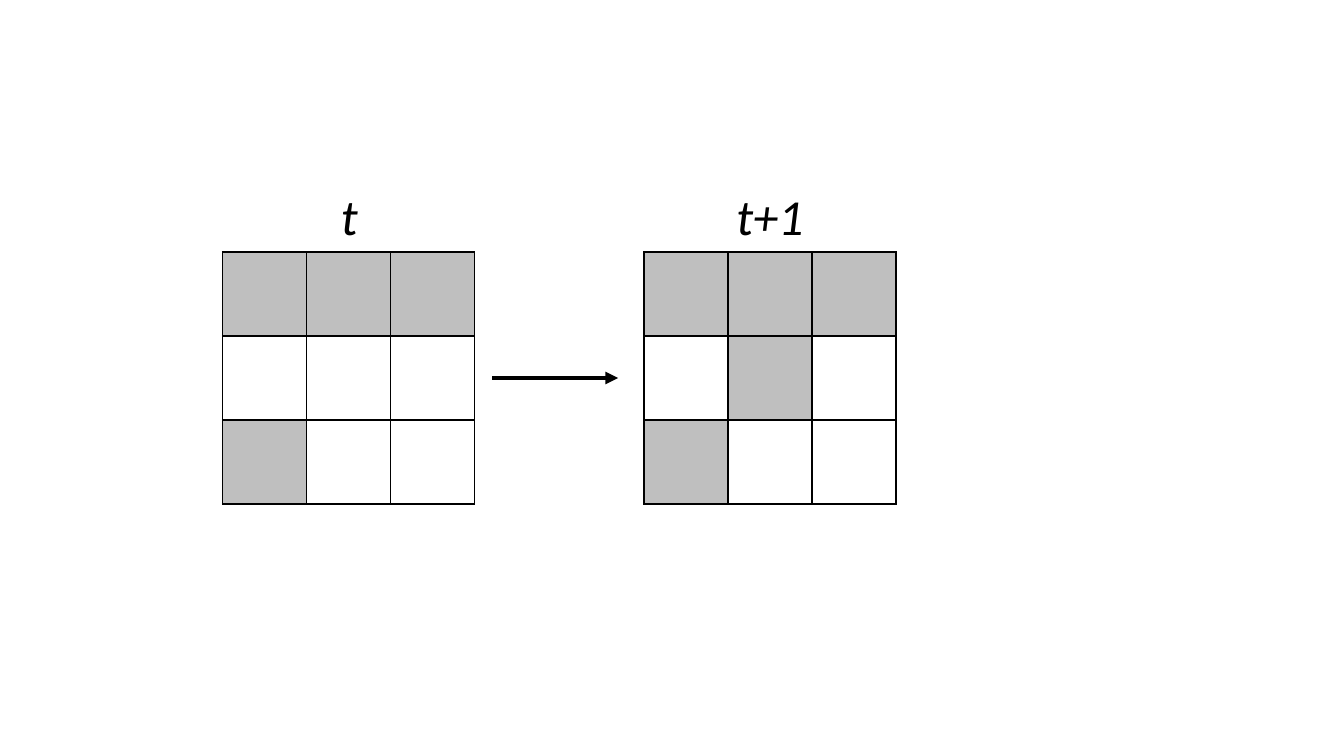
from lxml import etree
from pptx import Presentation
from pptx.dml.color import RGBColor
from pptx.enum.shapes import MSO_CONNECTOR
from pptx.enum.text import MSO_AUTO_SIZE, PP_ALIGN
from pptx.oxml.ns import qn
from pptx.util import Pt

STRAIGHT = MSO_CONNECTOR.STRAIGHT
CENTER = PP_ALIGN.CENTER
GROW = MSO_AUTO_SIZE.SHAPE_TO_FIT_TEXT

CELL = 60
GRID_TOP = 180
LABEL_HEIGHT = 51


def color(value):
    return RGBColor.from_string(value)


class Diagram:
    font = "Calibri"
    ink = "000000"
    alive = "BFBFBF"

    def __init__(self, page):
        self.page = page

    def border(self, cell):
        properties = cell._tc.get_or_add_tcPr()
        # Borders come before the fill in the cell properties
        for index, side in enumerate(("lnL", "lnR", "lnT", "lnB")):
            line = etree.Element(qn(f"a:{side}"), w=str(Pt(1)))
            fill = etree.SubElement(line, qn("a:solidFill"))
            etree.SubElement(fill, qn("a:srgbClr"), val=self.ink)
            properties.insert(index, line)

    def grid(self, left, top, pattern):
        count = len(pattern)
        table = self.page.shapes.add_table(
            count, count, Pt(left), Pt(top), Pt(count * CELL), Pt(count * CELL)).table
        table.first_row = table.horz_banding = False
        for index, states in enumerate(pattern):
            table.rows[index].height = Pt(CELL)
            table.columns[index].width = Pt(CELL)
            for column, state in enumerate(states):
                cell = table.cell(index, column)
                if state == "#":
                    cell.fill.solid()
                    cell.fill.fore_color.rgb = color(self.alive)
                else:
                    cell.fill.background()
                self.border(cell)

    def label(self, text, center, top, width):
        box = self.page.shapes.add_textbox(
            Pt(center - width / 2), Pt(top), Pt(width), Pt(LABEL_HEIGHT))
        frame = box.text_frame
        frame.text = text
        frame.word_wrap = False
        frame.auto_size = GROW
        para = frame.paragraphs[0]
        para.alignment = CENTER
        font = para.runs[0].font
        font.name, font.size, font.italic = self.font, Pt(36), True
        font.color.rgb = color(self.ink)

    def arrow(self, start, end, y):
        connector = self.page.shapes.add_connector(
            STRAIGHT, Pt(start), Pt(y), Pt(end), Pt(y))
        connector.line.width = Pt(3)
        connector.line.color.rgb = color(self.ink)
        etree.SubElement(connector.line._get_or_add_ln(), qn("a:tailEnd"), type="triangle")
        etree.SubElement(connector._element.spPr, qn("a:effectLst"))


def main():
    deck = Presentation()
    deck.slide_width, deck.slide_height = Pt(960), Pt(540)
    diagram = Diagram(deck.slides.add_slide(deck.slide_layouts[6]))

    # Grid states with their time labels: # marks a filled cell
    steps = (
        ("t", 159, 25, ("###", "...", "#..")),
        ("t+1", 460, 63, ("###", ".#.", "#..")),
    )
    for name, left, width, pattern in steps:
        diagram.grid(left, GRID_TOP, pattern)
        diagram.label(name, left + 1.5 * CELL, GRID_TOP - LABEL_HEIGHT, width)

    # Transition between the states
    diagram.arrow(351.5, 441.5, GRID_TOP + 1.5 * CELL)

    deck.save("out.pptx")


if __name__ == "__main__":
    main()
